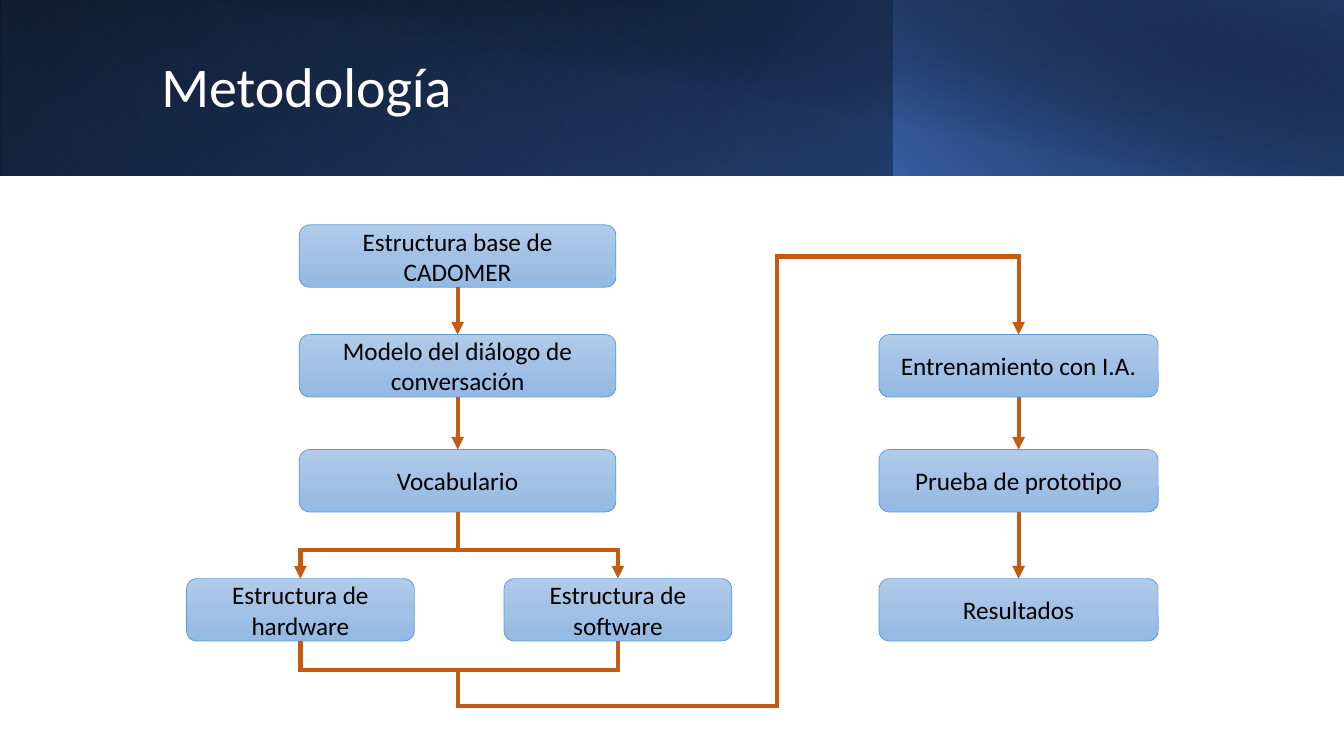
from dataclasses import dataclass

from lxml.etree import SubElement
from pptx import Presentation
from pptx.dml.color import RGBColor
from pptx.enum.shapes import MSO_CONNECTOR, MSO_SHAPE
from pptx.enum.text import MSO_ANCHOR, PP_ALIGN
from pptx.oxml.ns import qn
from pptx.util import Pt


@dataclass(frozen=True)
class Theme:
    font: str = "Calibri"
    title_size: int = 40
    box_size: int = 18
    title_color: str = "FFFFFF"
    text_color: str = "000000"
    box_line: str = "5B9BD5"
    arrow_color: str = "C55A11"
    box_line_width: float = 0.5
    arrow_width: float = 3
    box_stops: tuple = ((0, "B1CBE9", 100), (50, "A3C1E5", 100), (100, "93B9E4", 100))


THEME = Theme()
TOP, LEFT, BOTTOM = 0, 1, 2
SLIDE_WIDTH, SLIDE_HEIGHT = 960, 540
BOX_HEIGHT = 44.6
ROWS = (160.6, 239, 321.1, 413.3)
MAIN_X, HARDWARE_X, SOFTWARE_X, RESULT_X = 326.9, 214.6, 441.4, 727.6
MAIN_WIDTH, BRANCH_WIDTH, RESULT_WIDTH = 226.1, 162.7, 199.4
SPLIT_Y, MERGE_Y, RETURN_Y, ENTRY_Y = 392.8, 478.3, 504.2, 183.3
RISER_X = 555.1
OVERHANG = THEME.arrow_width / 2

BANDS = (
    ((0, 0, 960, 125.3), 0, True, 140, ((0, "000000", 100), (100, "2F5597", 100))),
    ((0, 0, 639.4, 125.3), 180, True, 230, ((20, "4472C4", 0), (100, "203864", 55))),
    ((638.6, 0, 321.4, 125.3), 0, True, 220, ((0, "4472C4", 66), (100, "000000", 30))),
    ((36, 0, 924, 126), 0, False, 280, ((50, "000000", 0), (99, "203864", 52))),
)

BOXES = {
    "base": ("Estructura base de CADOMER", MAIN_X, 0, MAIN_WIDTH),
    "dialogue": ("Modelo del diálogo de conversación", MAIN_X, 1, MAIN_WIDTH),
    "vocabulary": ("Vocabulario", MAIN_X, 2, MAIN_WIDTH),
    "hardware": ("Estructura de hardware", HARDWARE_X, 3, BRANCH_WIDTH),
    "software": ("Estructura de software", SOFTWARE_X, 3, BRANCH_WIDTH),
    "training": ("Entrenamiento con I.A.", RESULT_X, 1, RESULT_WIDTH),
    "testing": ("Prueba de prototipo", RESULT_X, 2, RESULT_WIDTH),
    "results": ("Resultados", RESULT_X, 3, RESULT_WIDTH),
}

FLOWS = (
    ("base", "dialogue"),
    ("dialogue", "vocabulary"),
    ("training", "testing"),
    ("testing", "results"),
)

ARRIVALS = (
    ("hardware", HARDWARE_X, SPLIT_Y),
    ("software", SOFTWARE_X, SPLIT_Y),
    ("training", RESULT_X, ENTRY_Y),
)

DEPARTURES = (
    ("vocabulary", MAIN_X, SPLIT_Y),
    ("hardware", HARDWARE_X, MERGE_Y),
    ("software", SOFTWARE_X, MERGE_Y),
)

RAILS = (
    (HARDWARE_X - OVERHANG, SPLIT_Y, SOFTWARE_X + OVERHANG, SPLIT_Y),
    (HARDWARE_X - OVERHANG, MERGE_Y, SOFTWARE_X + OVERHANG, MERGE_Y),
    (MAIN_X, MERGE_Y, MAIN_X, RETURN_Y),
    (MAIN_X - OVERHANG, RETURN_Y, RISER_X + OVERHANG, RETURN_Y),
    (RISER_X, ENTRY_Y, RISER_X, RETURN_Y),
    (RISER_X - OVERHANG, ENTRY_Y, RESULT_X + OVERHANG, ENTRY_Y),
)


def set_attributes(target, values):
    for name, value in values.items():
        setattr(target, name, value)


def set_gradient(shape, stops, angle):
    shape.fill.gradient()
    gradient = shape.element.spPr.find(qn("a:gradFill"))
    for child in list(gradient):
        gradient.remove(child)
    gradient.set("rotWithShape", "1")
    stop_list = SubElement(gradient, qn("a:gsLst"))
    for position, color, opacity in stops:
        stop = SubElement(stop_list, qn("a:gs"), pos=str(position * 1000))
        color_element = SubElement(stop, qn("a:srgbClr"), val=color)
        if opacity < 100:
            SubElement(color_element, qn("a:alpha"), val=str(opacity * 1000))
    SubElement(gradient, qn("a:lin"), ang=str(angle * 60000), scaled="0")


def write_text(shape, text, size, color, paragraph_format):
    frame = shape.text_frame
    set_attributes(frame, {"word_wrap": True, "vertical_anchor": MSO_ANCHOR.MIDDLE})
    paragraph = frame.paragraphs[0]
    set_attributes(paragraph, paragraph_format)
    run = paragraph.add_run()
    run.text = text
    set_attributes(run.font, {"name": THEME.font, "size": Pt(size)})
    run.font.color.rgb = RGBColor.from_string(color)


def add_gradient_shape(slide, kind, bounds, stops, angle):
    shape = slide.shapes.add_shape(kind, *map(Pt, bounds))
    shape.shadow.inherit = False
    set_gradient(shape, stops, angle)
    return shape


def add_band(slide, bounds, rotation, flipped, angle, stops):
    band = add_gradient_shape(slide, MSO_SHAPE.RECTANGLE, bounds, stops, angle)
    band.line.fill.background()
    band.rotation = rotation
    if flipped:
        band.element.spPr.find(qn("a:xfrm")).set("flipH", "1")


def add_title(slide, text):
    title = slide.shapes.title
    bounds = {"left": 108, "top": 23, "width": 779, "height": 81.4}
    set_attributes(title, {name: Pt(value) for name, value in bounds.items()})
    title_format = {"alignment": PP_ALIGN.LEFT, "line_spacing": 0.9}
    write_text(title, text, THEME.title_size, THEME.title_color, title_format)
    title.element.getparent().append(title.element)


def add_box(slide, text, center, row, width):
    bounds = (center - width / 2, ROWS[row], width, BOX_HEIGHT)
    box = add_gradient_shape(
        slide, MSO_SHAPE.ROUNDED_RECTANGLE, bounds, THEME.box_stops, 90
    )
    box.line.color.rgb = RGBColor.from_string(THEME.box_line)
    box.line.width = Pt(THEME.box_line_width)
    write_text(
        box, text, THEME.box_size, THEME.text_color, {"alignment": PP_ALIGN.CENTER}
    )
    return box


def add_line(slide, points, start=None, end=None):
    connector = slide.shapes.add_connector(MSO_CONNECTOR.STRAIGHT, *map(Pt, points))
    connector.line.color.rgb = RGBColor.from_string(THEME.arrow_color)
    connector.line.width = Pt(THEME.arrow_width)
    if start is not None:
        connector.begin_connect(start, BOTTOM)
    if end is not None:
        connector.end_connect(end, TOP)
        SubElement(connector.line._get_or_add_ln(), qn("a:tailEnd"), type="triangle")
    SubElement(connector.element.spPr, qn("a:effectLst"))


def main():
    presentation = Presentation()
    set_attributes(
        presentation,
        {"slide_width": Pt(SLIDE_WIDTH), "slide_height": Pt(SLIDE_HEIGHT)},
    )
    slide = presentation.slides.add_slide(presentation.slide_layouts[5])
    for band in BANDS:
        add_band(slide, *band)
    add_title(slide, "Metodología")
    boxes = {name: add_box(slide, *box) for name, box in BOXES.items()}
    for source, target in FLOWS:
        add_line(slide, (0, 0, 0, 0), boxes[source], boxes[target])
    for name, x, y in ARRIVALS:
        add_line(slide, (x, y, x, ROWS[BOXES[name][2]]), end=boxes[name])
    for name, x, y in DEPARTURES:
        add_line(slide, (x, ROWS[BOXES[name][2]] + BOX_HEIGHT, x, y), boxes[name])
    for rail in RAILS:
        add_line(slide, rail)
    presentation.save("out.pptx")


if __name__ == "__main__":
    main()
